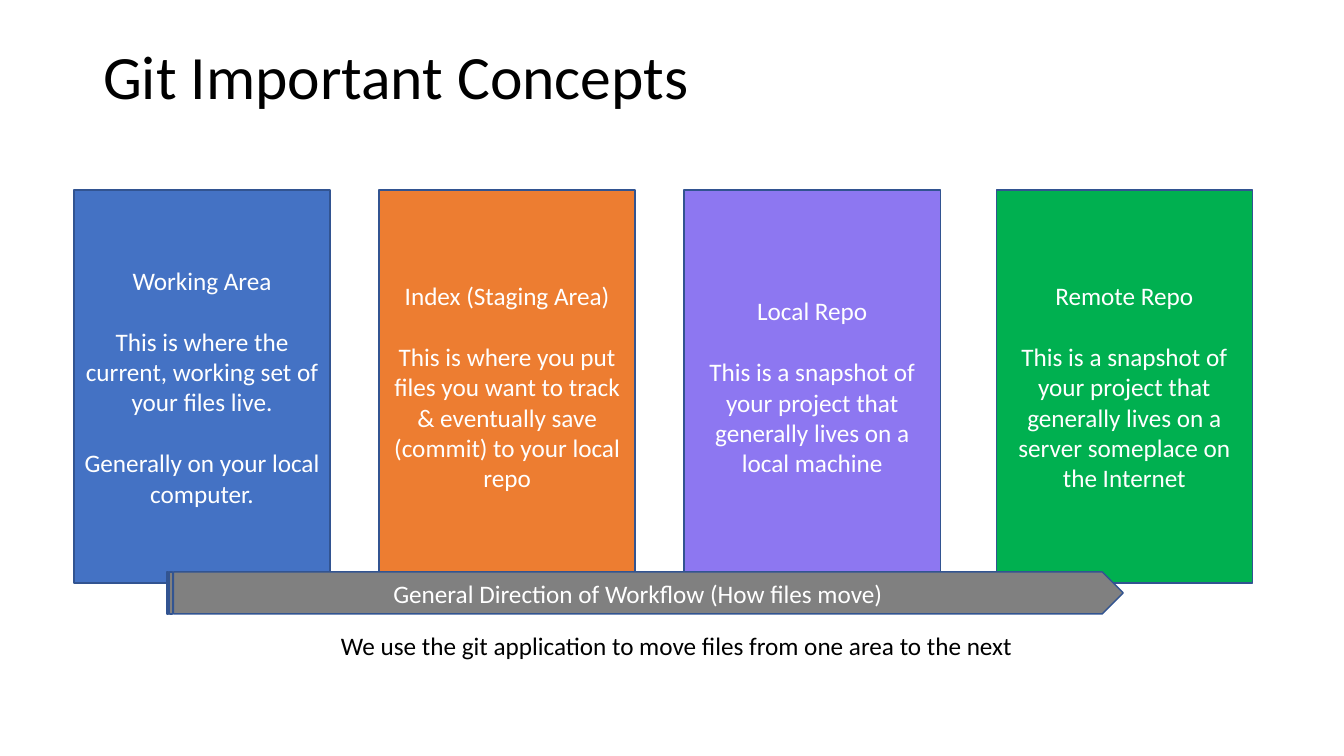
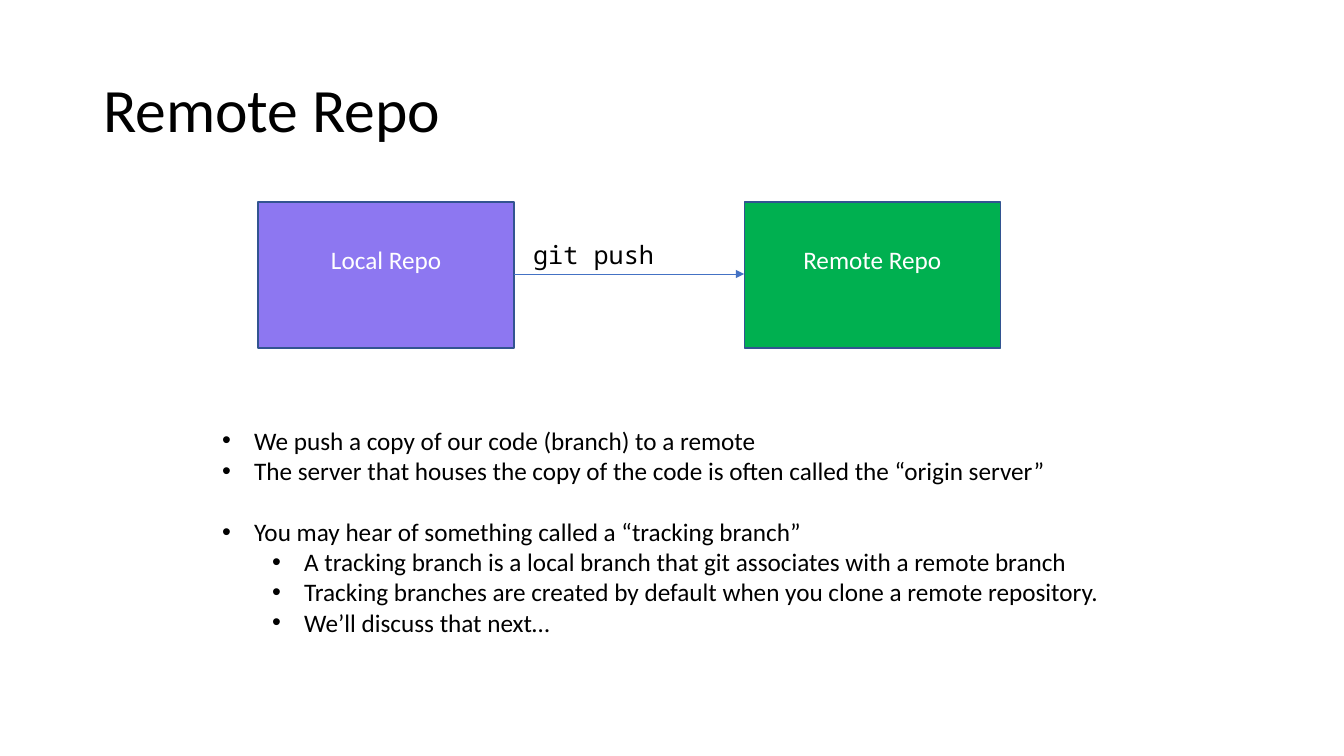
from dataclasses import dataclass
from lxml.etree import SubElement
from pptx import Presentation
from pptx.dml.color import RGBColor
from pptx.enum.shapes import MSO_CONNECTOR, MSO_SHAPE
from pptx.enum.text import MSO_ANCHOR, MSO_AUTO_SIZE, PP_ALIGN
from pptx.oxml.ns import qn
from pptx.util import Inches, Pt

# Content
AREAS = [
    (74, "4472C4", ["Working Area",
                    "This is where the current, working set of your files live.",
                    "Generally on your local computer."]),
    (379, "ED7D31", ["Index (Staging Area)",
                     "This is where you put files you want to track & eventually "
                     "save (commit) to your local repo"]),
    (684, "8D77F1", ["Local Repo",
                     "This is a snapshot of your project that generally lives on "
                     "a local machine"]),
    (996, "00B050", ["Remote Repo",
                     "This is a snapshot of your project that generally lives on "
                     "a server someplace on the Internet"]),
]
FLOW = "General Direction of Workflow (How files move)"
NOTE = "We use the git application to move files from one area to the next"
REPOS = [(258, "8D77F1", ["Local Repo"]), (744, "00B050", ["Remote Repo"])]
PUSH = "git push"
# Level, gap above in points, text
POINTS = [
    (0, 0, "We push a copy of our code (branch) to a remote"),
    (0, 0, "The server that houses the copy of the code is often called the "
           "“origin server”"),
    (0, 22, "You may hear of something called a “tracking branch”"),
    (1, 0, "A tracking branch is a local branch that git associates with a "
           "remote branch"),
    (1, 0, "Tracking branches are created by default when you clone a remote "
           "repository."),
    (1, 0, "We’ll discuss that next…"),
]


@dataclass(frozen=True)
class Theme:
    font: str = "Calibri"
    mono: str = "Noto Sans Mono"
    ink: str = "000000"
    light: str = "FFFFFF"
    edge: str = "325491"
    link: str = "4472C4"
    band: str = "808080"
    head: int = 44
    body: int = 18
    gap: int = 22


T = Theme()
BOX_W = 256
HANG, STEP = 32, 50


def px(n):
    return round(n * 914400 / 100.8)


def rgb(code):
    return RGBColor.from_string(code)


def place(item, x, y, w, h):
    item.left, item.top, item.width, item.height = map(px, (x, y, w, h))


def style(para, size=T.body, color=T.ink, font=T.font):
    for run in para.runs:
        run.font.size = Pt(size)
        run.font.name = font
        run.font.color.rgb = rgb(color)


# Shared parts
def start(deck, layout, title, high):
    slide = deck.slides.add_slide(deck.slide_layouts[layout])
    head = slide.shapes.title
    place(head, 93, 40, 1159, high)
    frame = head.text_frame
    frame.text = title
    frame.vertical_anchor = MSO_ANCHOR.MIDDLE
    frame.auto_size = MSO_AUTO_SIZE.NONE
    para = frame.paragraphs[0]
    para.alignment = PP_ALIGN.LEFT
    para.line_spacing = 0.9
    style(para, T.head)
    return slide


def block(slide, area, fill, lines, kind=MSO_SHAPE.RECTANGLE):
    shape = slide.shapes.add_shape(kind, *map(px, area))
    shape.shadow.inherit = False
    shape.fill.solid()
    shape.fill.fore_color.rgb = rgb(fill)
    shape.line.color.rgb = rgb(T.edge)
    shape.line.width = Pt(1)
    frame = shape.text_frame
    frame.text = "\n".join(lines)
    frame.word_wrap = True
    frame.vertical_anchor = MSO_ANCHOR.MIDDLE
    for i, para in enumerate(frame.paragraphs):
        para.alignment = PP_ALIGN.CENTER
        para.space_before = Pt(T.gap if i else 0)
        style(para, color=T.light)
    return shape


def label(slide, area, text, font=T.font):
    frame = slide.shapes.add_textbox(*map(px, area)).text_frame
    frame.text = text
    frame.word_wrap = False
    frame.auto_size = MSO_AUTO_SIZE.SHAPE_TO_FIT_TEXT
    style(frame.paragraphs[0], font=font)


def arrow(slide, start, end):
    line = slide.shapes.add_connector(MSO_CONNECTOR.STRAIGHT,
                                      *map(px, start + end))
    line.line.color.rgb = rgb(T.link)
    line.line.width = Pt(0.5)
    SubElement(line.line._get_or_add_ln(), qn("a:tailEnd"), type="triangle")
    SubElement(line._element.spPr, qn("a:effectLst"))


def bullets(frame, points):
    frame.text = "\n".join(text for _, _, text in points)
    frame.word_wrap = True
    frame.vertical_anchor = MSO_ANCHOR.TOP
    frame.auto_size = MSO_AUTO_SIZE.NONE
    for para, (level, gap, _) in zip(frame.paragraphs, points):
        para.level = level
        para.space_before = Pt(gap)
        props = para._p.get_or_add_pPr()
        props.set("marL", str(px(HANG + STEP * level)))
        props.set("indent", str(-px(HANG)))
        SubElement(props, qn("a:buFont"), typeface="Arial")
        SubElement(props, qn("a:buChar"), char="•")
        style(para)


deck = Presentation()
deck.slide_width, deck.slide_height = Inches(13.33), Inches(7.5)

# Slide 1: four areas and the flow between them
slide = start(deck, 5, "Git Important Concepts", 79)
for x, fill, lines in AREAS:
    block(slide, (x, 190, BOX_W, 393), fill, lines)
flow = block(slide, (167, 572, 956, 42), T.band, [FLOW],
             MSO_SHAPE.STRIPED_RIGHT_ARROW)
flow.adjustments[0], flow.adjustments[1] = 1, 0.5
label(slide, (331, 625, 701, 40), NOTE)

# Slide 2: pushing to a remote
slide = start(deck, 1, "Remote Repo", 146)
top, high = 202, 146
for x, fill, lines in REPOS:
    repo = block(slide, (x, top, BOX_W, high), fill, lines)
    repo.text_frame.margin_bottom = px(36)
mid = top + high // 2 - 1
arrow(slide, (REPOS[0][0] + BOX_W, mid), (REPOS[1][0], mid))
label(slide, (523, 234, 142, 40), PUSH, T.mono)
body = slide.placeholders[1]
place(body, 212, 420, 942, 224)
bullets(body.text_frame, POINTS)

deck.save("out.pptx")
